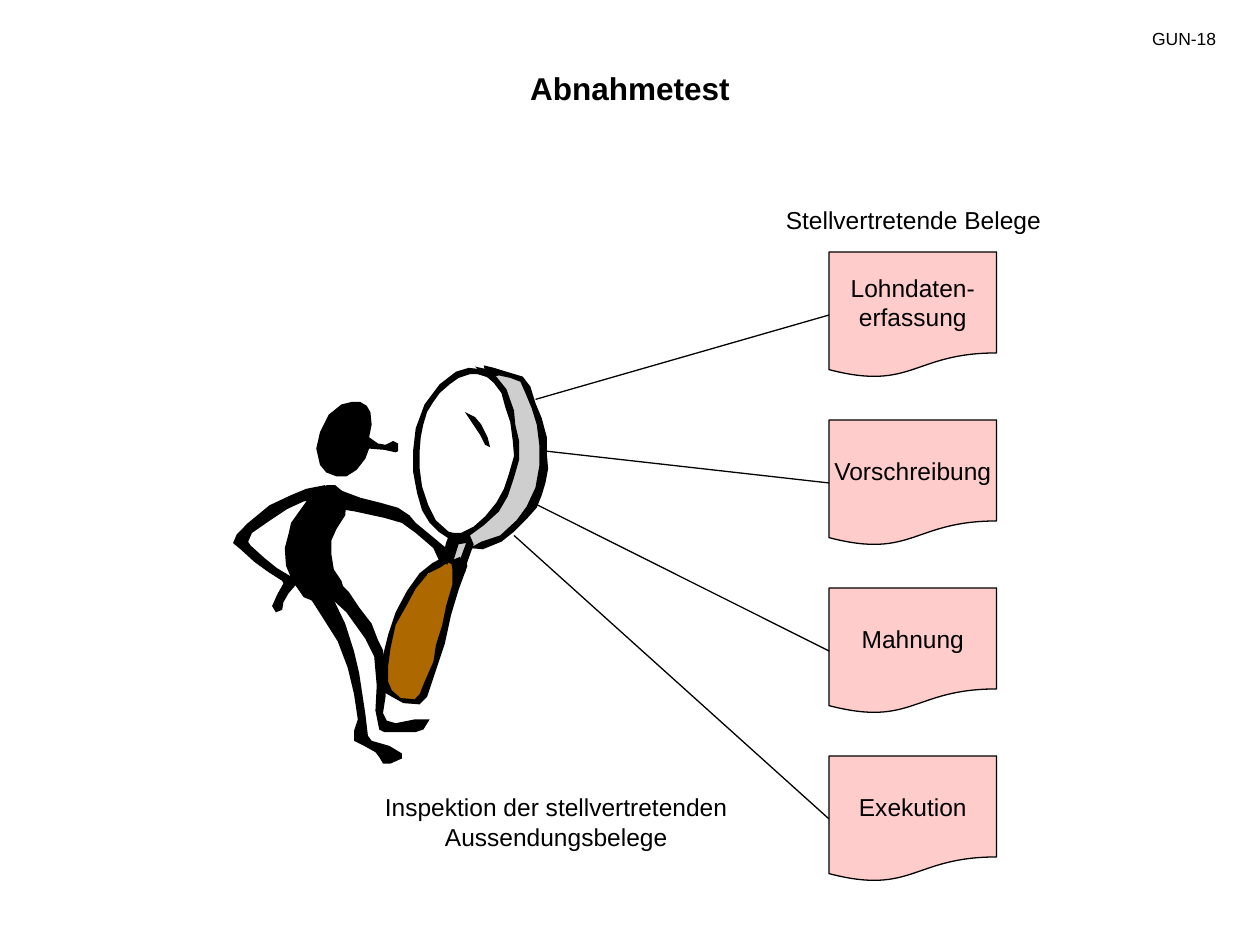
import pptx
import pptx.dml.color
import pptx.enum.shapes
import pptx.enum.text
import pptx.oxml
import pptx.oxml.ns
import pptx.util

PX = 9144  # EMU per px, 100 px to the inch
BLACK = pptx.dml.color.RGBColor(0x00, 0x00, 0x00)
PINK = pptx.dml.color.RGBColor(0xFF, 0xCC, 0xCC)
BROWN = pptx.dml.color.RGBColor(0xAD, 0x69, 0x00)
GREY = pptx.dml.color.RGBColor(0xCE, 0xCE, 0xCE)
ALIGN = pptx.enum.text.PP_ALIGN
ANCHOR = pptx.enum.text.MSO_ANCHOR
LEFT_SIDE = 1

# Outlines of the figure and its magnifier, relative to the figure's box
HANDLE = [
    (256, 243), (264, 251), (261, 268), (256, 289), (251, 311), (245, 327), (238, 348), (232, 358),
    (222, 358), (209, 351), (204, 345), (206, 325), (211, 302), (217, 283), (229, 265), (243, 253)]
RIM = [
    (287, 95), (313, 99), (324, 119), (331, 147), (332, 168), (331, 187), (322, 202), (314, 216),
    (299, 228), (272, 237), (267, 249), (256, 242), (261, 228), (284, 216), (300, 197), (307, 177),
    (311, 153), (308, 134), (301, 114), (293, 103)]
RIM_OUTER_EDGE = [
    (282, 230), (297, 225), (310, 213), (318, 202), (325, 187), (328, 170), (328, 153), (326, 137),
    (322, 124), (317, 112), (313, 103), (305, 100), (296, 98), (292, 99), (285, 95), (284, 90),
    (292, 92), (315, 99), (321, 107), (325, 120), (330, 132), (334, 147), (334, 160), (335, 172),
    (333, 183), (330, 193), (326, 203), (318, 212), (308, 222), (298, 230), (283, 236), (273, 235)]
LENS_RIGHT_EDGE = [
    (271, 246), (276, 232), (273, 225), (284, 217), (296, 206), (303, 194), (308, 179), (312, 165),
    (312, 150), (309, 137), (308, 126), (302, 109), (294, 99), (286, 93), (277, 91), (284, 97),
    (292, 104), (298, 112), (301, 123), (305, 135), (307, 150), (308, 162), (304, 176), (300, 188),
    (294, 199), (285, 210), (276, 218), (266, 223), (257, 223), (254, 231), (251, 244), (259, 248),
    (264, 232), (270, 231), (263, 250), (269, 255)]
LENS_LEFT_EDGE = [
    (257, 228), (248, 222), (241, 215), (235, 205), (231, 191), (228, 175), (228, 157), (230, 140),
    (237, 121), (249, 105), (262, 95), (272, 92), (282, 93), (292, 96), (292, 101), (279, 97),
    (273, 97), (264, 100), (257, 105), (249, 112), (244, 119), (239, 127), (236, 137), (234, 147),
    (233, 159), (233, 171), (235, 186), (240, 201), (246, 213), (256, 222), (271, 226)]
LENS_GLINT = [
    (269, 127), (277, 131), (282, 137), (287, 147), (289, 155), (285, 153), (281, 145), (275, 136)]
HANDLE_EDGE = [
    (256, 240), (243, 247), (233, 255), (223, 269), (214, 286), (208, 304), (202, 328), (202, 343),
    (204, 349), (211, 353), (220, 358), (233, 359), (239, 353), (246, 332), (253, 311), (258, 288),
    (264, 268), (271, 249), (265, 242), (258, 245), (259, 252), (259, 264), (254, 281), (251, 296),
    (246, 312), (244, 325), (237, 341), (233, 351), (229, 355), (218, 354), (211, 348), (208, 341),
    (208, 329), (210, 314), (214, 296), (223, 280), (230, 267), (240, 255), (250, 250), (257, 245)]
HEAD = [
    (193, 147), (195, 137), (194, 127), (191, 122), (186, 119), (179, 119), (171, 121), (161, 129),
    (154, 143), (151, 156), (154, 169), (159, 175), (167, 178), (175, 178), (183, 173), (190, 164),
    (193, 156), (205, 157), (214, 159), (216, 158), (216, 152), (212, 150), (206, 153), (200, 152)]
TORSO = [
    (136, 208), (146, 194), (154, 187), (160, 185), (166, 185), (173, 191), (175, 197), (174, 209),
    (167, 220), (163, 229), (163, 240), (165, 252), (171, 261), (173, 268), (170, 274), (163, 279),
    (151, 278), (141, 274), (132, 261), (127, 249), (126, 235), (129, 224), (131, 215)]
LEFT_ARM = [
    (143, 188), (158, 185), (159, 192), (151, 196), (141, 198), (128, 204), (113, 214), (100, 223),
    (97, 230), (99, 233), (110, 243), (120, 251), (130, 257), (134, 258), (135, 264), (129, 271),
    (125, 278), (124, 284), (119, 286), (116, 281), (120, 272), (125, 263), (124, 261), (113, 254),
    (102, 246), (91, 236), (85, 231), (88, 224), (97, 215), (114, 201), (131, 193)]
RIGHT_ARM = [
    (170, 189), (162, 195), (164, 201), (170, 204), (182, 206), (205, 211), (219, 215), (230, 223),
    (244, 235), (249, 246), (255, 248), (262, 235), (253, 234), (241, 224), (230, 215), (225, 209),
    (216, 203), (202, 199), (186, 195)]
RIGHT_LEG = [
    (161, 260), (156, 265), (159, 271), (163, 275), (175, 286), (190, 307), (197, 321), (199, 344),
    (198, 364), (201, 379), (205, 381), (212, 381), (230, 381), (236, 379), (241, 371), (229, 371),
    (214, 374), (207, 372), (204, 366), (206, 353), (206, 336), (204, 316), (200, 308), (195, 295),
    (185, 282), (177, 270), (168, 261)]
LEFT_LEG = [
    (147, 270), (150, 263), (157, 262), (161, 268), (174, 295), (181, 317), (185, 334), (190, 367),
    (192, 384), (195, 388), (209, 392), (219, 398), (219, 402), (210, 406), (204, 406), (201, 401),
    (198, 397), (189, 392), (181, 388), (181, 380), (184, 371), (181, 351), (176, 330), (168, 309),
    (156, 290), (147, 276)]
FIGURE_PARTS = [(HANDLE, BROWN), (RIM, GREY)] + [
    (outline, BLACK) for outline in (
        RIM_OUTER_EDGE, LENS_RIGHT_EDGE, LENS_LEFT_EDGE, LENS_GLINT, HANDLE_EDGE,
        HEAD, TORSO, LEFT_ARM, RIGHT_ARM, RIGHT_LEG, LEFT_LEG)]

# Each document with the point on the magnifier it is linked to, on the slide
DOCUMENTS = [
    ("Lohndaten-\nerfassung", (425, 317)),
    ("Vorschreibung", (433, 358)),
    ("Mahnung", (425, 400)),
    ("Exekution", (408, 425)),
]


def emu(*lengths):
    return [pptx.util.Emu(round(length * PX)) for length in lengths]


def write(shape, text, size=14, bold=False, align=ALIGN.CENTER, anchor=ANCHOR.TOP, wrap=True):
    frame = shape.text_frame
    frame.text = text
    frame.word_wrap = wrap
    frame.vertical_anchor = anchor
    for paragraph in frame.paragraphs:
        paragraph.alignment = align
        for run in paragraph.runs:
            run.font.name = "Arial"
            run.font.size = pptx.util.Pt(size)
            run.font.bold = bold
            run.font.color.rgb = BLACK


def add_label(slide, box, text, **text_format):
    write(slide.shapes.add_textbox(*emu(*box)), text, **text_format)


def add_figure(slide, box):
    """Draw the person who holds the magnifier."""
    left, top = emu(*box[:2])
    for outline, colour in FIGURE_PARTS:
        builder = slide.shapes.build_freeform(*outline[0], scale=PX)
        builder.add_line_segments(outline[1:], close=True)
        part = builder.convert_to_shape(left, top)
        part.shadow.inherit = False
        part.fill.solid()
        part.fill.fore_color.rgb = colour
        part.line.fill.background()


def add_document(slide, box, text):
    document = slide.shapes.add_shape(
        pptx.enum.shapes.MSO_SHAPE.FLOWCHART_DOCUMENT, *emu(*box))
    document.shadow.inherit = False
    document.fill.solid()
    document.fill.fore_color.rgb = PINK
    document.line.color.rgb = BLACK
    document.line.width = pptx.util.Pt(0.75)
    write(document, text, anchor=ANCHOR.MIDDLE, wrap=False)
    return document


def add_sight_line(slide, document, target):
    sight_line = slide.shapes.add_connector(
        pptx.enum.shapes.MSO_CONNECTOR.STRAIGHT, 0, 0, *emu(*target))
    sight_line.begin_connect(document, LEFT_SIDE)
    sight_line.line.color.rgb = BLACK
    sight_line.line.width = pptx.util.Pt(0.75)
    sight_line._element.spPr.append(
        pptx.oxml.parse_xml(f"<a:effectLst {pptx.oxml.ns.nsdecls('a')}/>"))


def add_documents(slide, box):
    """Stack the documents evenly in the box and link each to the magnifier."""
    left, top, width, height = box
    document_height = 100
    step = (height - document_height) / (len(DOCUMENTS) - 1)
    for row, (text, target) in enumerate(DOCUMENTS):
        document = add_document(
            slide, (left, top + row * step, width, document_height), text)
        add_sight_line(slide, document, target)


def main():
    presentation = pptx.Presentation()
    presentation.slide_width, presentation.slide_height = emu(1000, 750)
    slide = presentation.slides.add_slide(presentation.slide_layouts[6])
    add_label(slide, (200, 50, 600, 40), "Abnahmetest", size=18, bold=True)
    add_label(slide, (892, 17, 83, 27), "GUN-18", size=10, align=ALIGN.RIGHT)
    add_figure(slide, (100, 200, 340, 410))
    add_documents(slide, (658, 200, 133, 500))
    add_label(slide, (250, 624, 383, 57),
              "Inspektion der stellvertretenden\vAussendungsbelege")
    add_label(slide, (575, 158, 300, 34), "Stellvertretende Belege")
    presentation.save("out.pptx")


if __name__ == "__main__":
    main()
